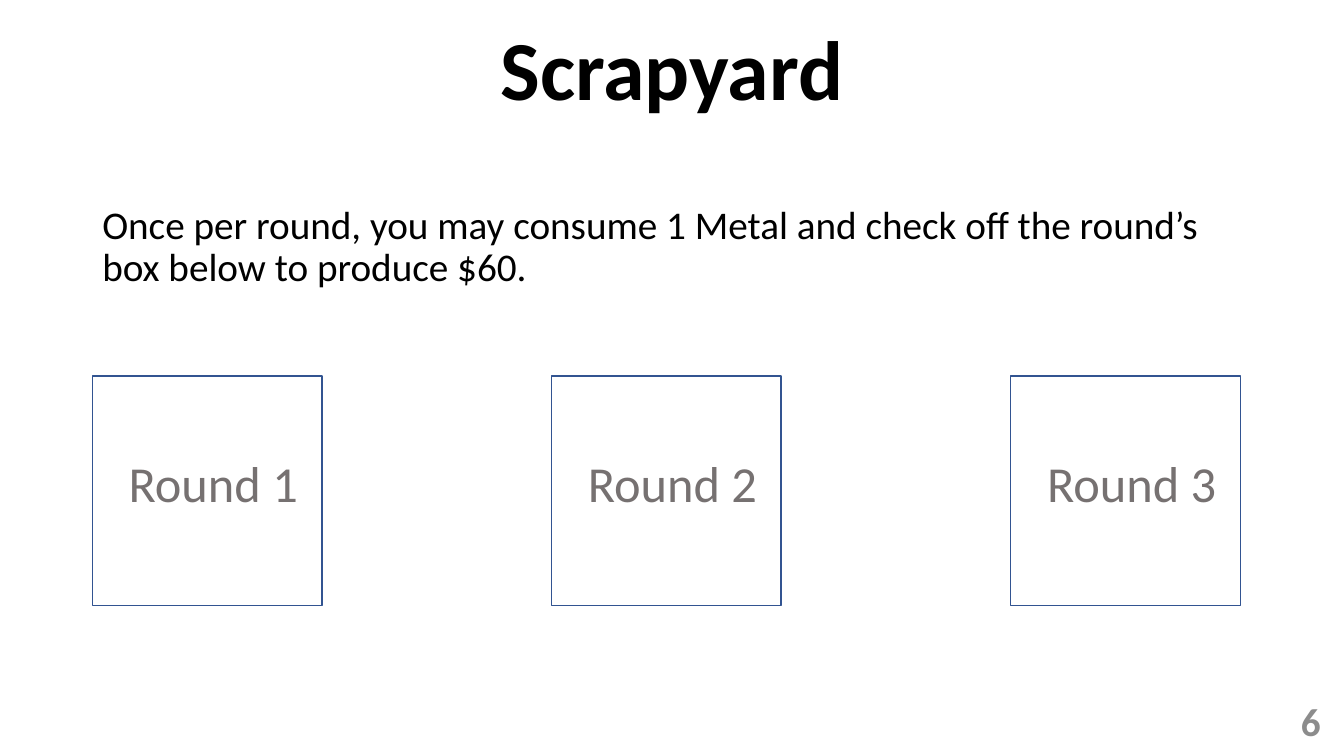
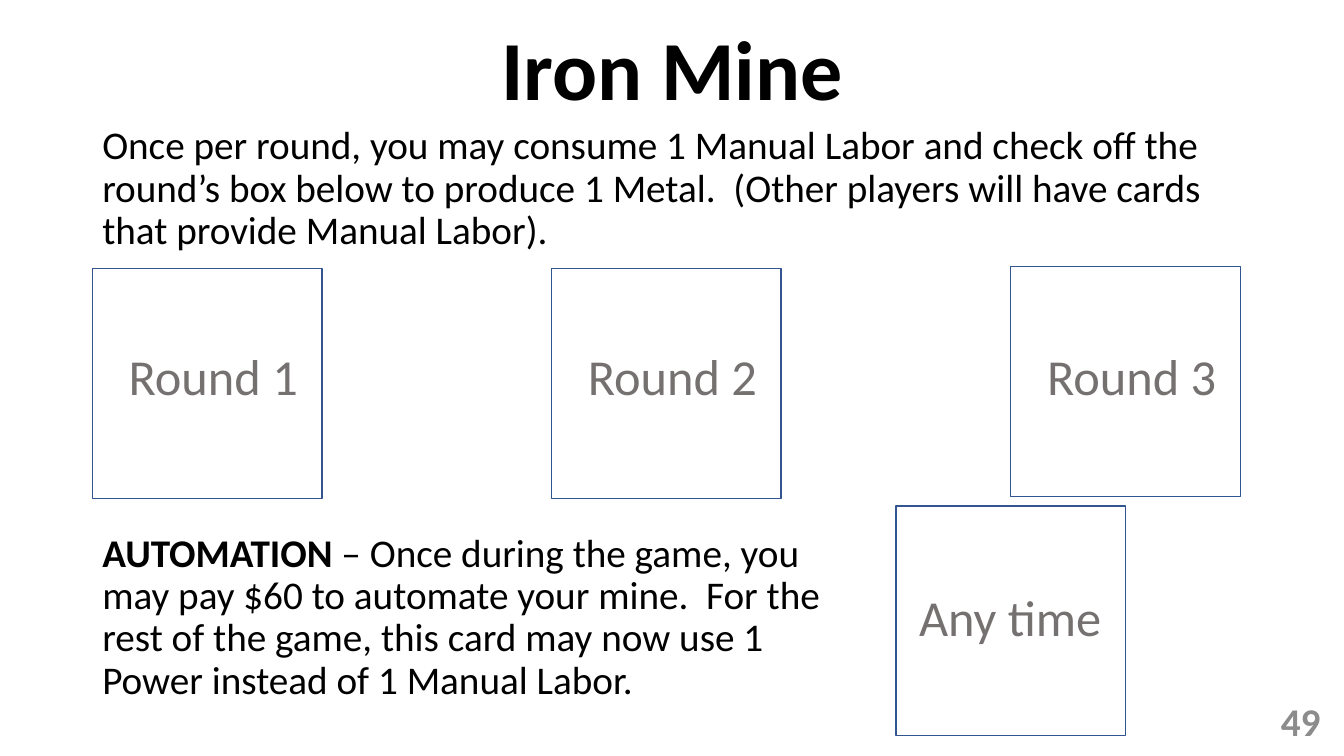
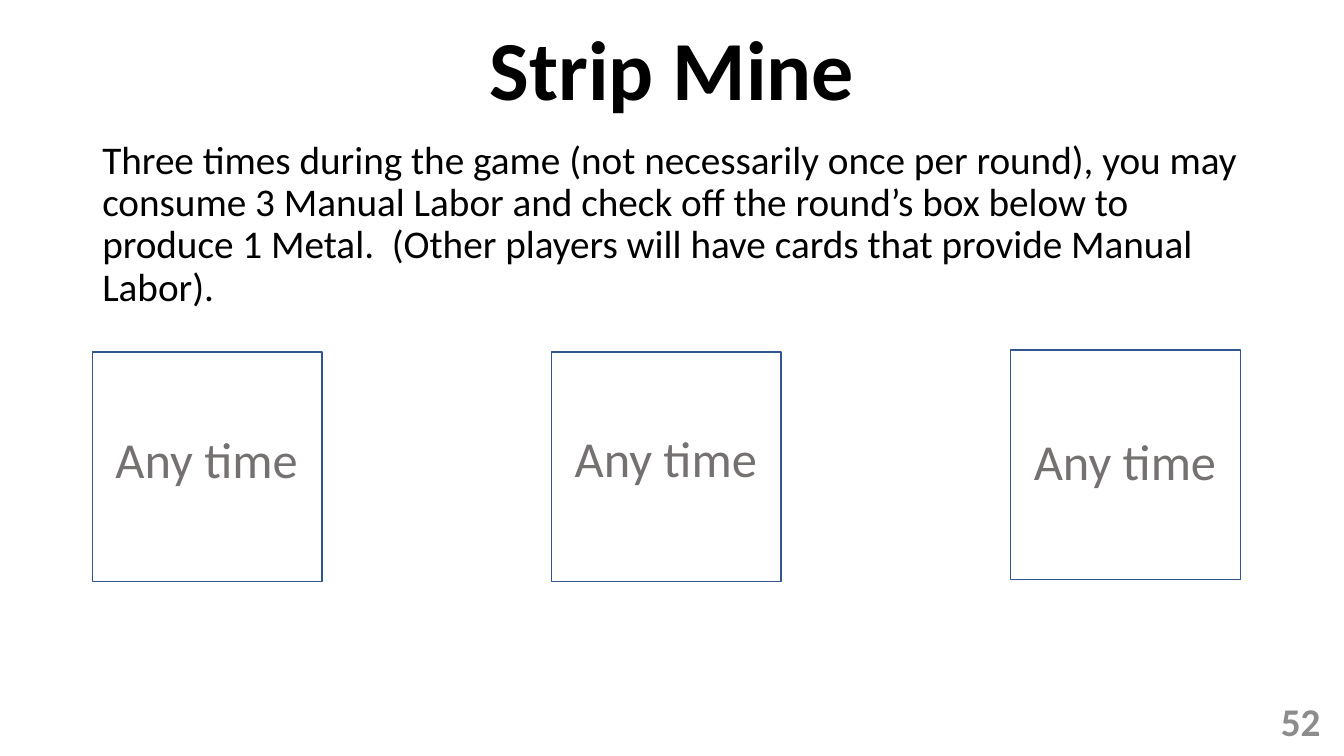
"""Build three game cards with a title, a rule text and check-off boxes."""
from dataclasses import dataclass

from pptx import Presentation, util as u
from pptx.dml.color import RGBColor
from pptx.enum import shapes, text


@dataclass(frozen=True)
class Theme:
    font: str = "Calibri"
    ink: RGBColor = RGBColor(0x00, 0x00, 0x00)
    paper: RGBColor = RGBColor(0xFF, 0xFF, 0xFF)
    outline: RGBColor = RGBColor(0x32, 0x54, 0x91)
    label: RGBColor = RGBColor(0x76, 0x71, 0x71)
    number: RGBColor = RGBColor(0x8C, 0x8C, 0x8C)
    title_size: int = 60
    label_size: int = 36
    rule_size: int = 28


theme = Theme()
LEFT, WIDTH = 66, 828
BOX, PITCH = 164, 328
LABEL_WIDTH, LABEL_HEIGHT = 145.6, 51
ROUND_INDENT, ANY_TIME_INDENT = 18.8, 9.4
ROUNDS = ["Round 1", "Round 2", "Round 3"]
ANY_TIME = "Any time"

cards = [
    dict(
        title="Scrapyard", number="6", rule_top=143.4, rule_height=111,
        rule="Once per round, you may consume 1 Metal and check off the round’s box below to produce $60.",
        boxes=[(LEFT + i * PITCH, 268.6, 319.6, name) for i, name in enumerate(ROUNDS)],
    ),
    dict(
        title="Iron Mine", number="49", rule_top=86.4, rule_height=111,
        rule="Once per round, you may consume 1 Manual Labor and check off the round’s box below "
             "to produce 1 Metal.  (Other players will have cards that provide Manual Labor).",
        boxes=[(LEFT + i * PITCH, top, 242.8, name)
               for i, (top, name) in enumerate(zip([192, 192, 190.6], ROUNDS))]
        + [(640, 361.4, 415.4, ANY_TIME)],
        upgrade=("AUTOMATION",
                 " – Once during the game, you may pay $60 to automate your mine.  For the rest of "
                 "the game, this card may now use 1 Power instead of 1 Manual Labor."),
    ),
    dict(
        title="Strip Mine", number="52", rule_top=96.6, rule_height=132.5,
        rule="Three times during the game (not necessarily once per round), you may consume 3 Manual "
             "Labor and check off the round’s box below to produce 1 Metal.  (Other players will have "
             "cards that provide Manual Labor).",
        boxes=[(LEFT + i * PITCH, top, label_top, ANY_TIME)
               for i, (top, label_top) in enumerate([(251.4, 302.4), (251.4, 301.6), (250, 303.8)])],
    ),
]


def add_text(slide, area, pieces, size, color, bold=False, align=text.PP_ALIGN.LEFT,
             anchor=text.MSO_ANCHOR.TOP, line_spacing=None, space_before=None):
    """Add one wrapped paragraph and return its runs."""
    frame = slide.shapes.add_textbox(*map(u.Pt, area)).text_frame
    frame.word_wrap = True
    frame.vertical_anchor = anchor
    paragraph = frame.paragraphs[0]
    paragraph.alignment = align
    paragraph.line_spacing = line_spacing
    paragraph.space_before = space_before
    for piece in pieces:
        run = paragraph.add_run()
        run.text = piece
        run.font.name = theme.font
        run.font.size = u.Pt(size)
        run.font.color.rgb = color
        run.font.bold = bold
    return paragraph.runs


deck = Presentation()
deck.slide_width, deck.slide_height = u.Pt(960), u.Pt(540)
blank = deck.slide_layouts[6]
rule_style = dict(size=theme.rule_size, color=theme.ink, line_spacing=0.9, space_before=u.Pt(10))

for card in cards:
    slide = deck.slides.add_slide(blank)
    add_text(slide, (LEFT, 0, WIDTH, 104.4), [card["title"]], theme.title_size, theme.ink, bold=True,
             align=text.PP_ALIGN.CENTER, anchor=text.MSO_ANCHOR.MIDDLE, line_spacing=0.9)
    add_text(slide, (LEFT, card["rule_top"], WIDTH, card["rule_height"]), [card["rule"]], **rule_style)

    for left, top, label_top, name in card["boxes"]:
        box = slide.shapes.add_shape(shapes.MSO_SHAPE.RECTANGLE, *map(u.Pt, (left, top, BOX, BOX)))
        box.shadow.inherit = False
        box.fill.solid()
        box.fill.fore_color.rgb = theme.paper
        box.line.color.rgb = theme.outline
        box.line.width = u.Pt(1)
        indent = ANY_TIME_INDENT if name == ANY_TIME else ROUND_INDENT
        add_text(slide, (left + indent, label_top, LABEL_WIDTH, LABEL_HEIGHT), [name],
                 theme.label_size, theme.label)

    if "upgrade" in card:
        keyword, _ = add_text(slide, (LEFT, 377.4, 542, 133), card["upgrade"], **rule_style)
        keyword.font.bold = True

    add_text(slide, (734.4, 500.4, 216, 28.8), [card["number"]], theme.rule_size, theme.number,
             bold=True, align=text.PP_ALIGN.RIGHT, anchor=text.MSO_ANCHOR.MIDDLE)

deck.save("out.pptx")
